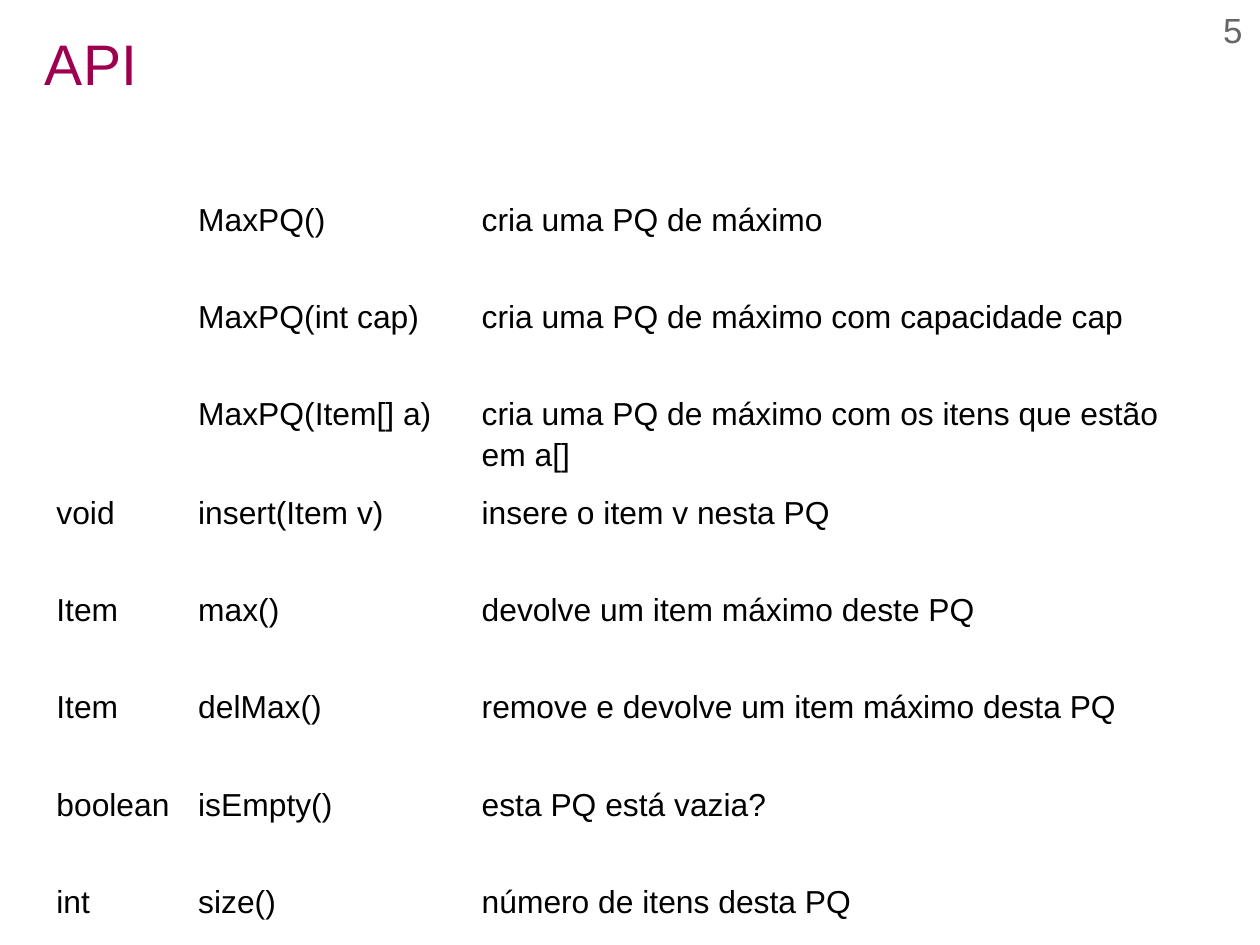
from dataclasses import dataclass

import pptx
import pptx.dml.color
import pptx.enum.text
import pptx.oxml.ns
import pptx.util
from lxml import etree
from pptx.util import Cm

FONT = "Arial"
WHITE = "FFFFFF"
BLACK = "000000"
ALIGN = pptx.enum.text.PP_ALIGN
ANCHOR = pptx.enum.text.MSO_ANCHOR


@dataclass
class Label:
    text: str
    left: float
    top: float
    width: float
    height: float
    size: int
    color: str
    align: ALIGN = ALIGN.LEFT
    anchor: ANCHOR = ANCHOR.TOP
    line_spacing: float = 1.0


@dataclass
class Method:
    returns: str
    signature: str
    description: str


LABELS = [
    Label("API", 1, 0.5, 26, 2, 36, "9E004F",
          anchor=ANCHOR.MIDDLE, line_spacing=0.9),
    Label("5", 20.68, 0.2, 6.93, 1.17, 22, "666666", align=ALIGN.RIGHT),
]

METHODS = [
    Method("", "MaxPQ()", "cria uma PQ de máximo"),
    Method("", "MaxPQ(int cap)", "cria uma PQ de máximo com capacidade cap"),
    Method("", "MaxPQ(Item[] a)",
           "cria uma PQ de máximo com os itens que estão em a[]"),
    Method("void", "insert(Item v)", "insere o item v nesta PQ"),
    Method("Item", "max()", "devolve um item máximo deste PQ"),
    Method("Item", "delMax()", "remove e devolve um item máximo desta PQ"),
    Method("boolean", "isEmpty()", "esta PQ está vazia?"),
    Method("int", "size()", "número de itens desta PQ"),
]

COLUMN_WIDTHS = [3.15, 6.3, 16.55]
ROW_HEIGHT = 2.16
LAST_ROW_HEIGHT = 1.22


def rgb(color: str) -> pptx.dml.color.RGBColor:
    return pptx.dml.color.RGBColor.from_string(color)


def style_paragraph(para, size: int, color: str, line_spacing: float) -> None:
    para.line_spacing = line_spacing
    para.font.name = FONT
    para.font.size = pptx.util.Pt(size)
    para.font.color.rgb = rgb(color)


def add_label(page, label: Label) -> None:
    box = page.shapes.add_textbox(Cm(label.left), Cm(label.top),
                                  Cm(label.width), Cm(label.height))
    frame = box.text_frame
    frame.word_wrap = True
    frame.vertical_anchor = label.anchor
    frame.margin_left = frame.margin_right = 0
    frame.margin_top = frame.margin_bottom = 0
    para = frame.paragraphs[0]
    para.text = label.text
    para.alignment = label.align
    style_paragraph(para, label.size, label.color, label.line_spacing)


def add_borders(cell, color: str, width: float) -> None:
    qn = pptx.oxml.ns.qn
    properties = cell._tc.get_or_add_tcPr()
    for side in ("lnL", "lnR", "lnT", "lnB"):
        line = etree.SubElement(properties, qn(f"a:{side}"),
                                w=str(pptx.util.Pt(width)))
        fill = etree.SubElement(line, qn("a:solidFill"))
        etree.SubElement(fill, qn("a:srgbClr"), val=color)


def fill_cell(cell, text: str) -> None:
    add_borders(cell, WHITE, 0.06)
    cell.fill.solid()
    cell.fill.fore_color.rgb = rgb(WHITE)
    if text:
        cell.text = text
        style_paragraph(cell.text_frame.paragraphs[0], 20, BLACK, 1.15)


def add_method_table(page, methods: list[Method]) -> None:
    heights = [ROW_HEIGHT] * (len(methods) - 1) + [LAST_ROW_HEIGHT]
    table = page.shapes.add_table(
        len(methods), len(COLUMN_WIDTHS), Cm(1), Cm(4.25),
        Cm(sum(COLUMN_WIDTHS)), Cm(sum(heights))).table
    table.first_row = False
    table.horz_banding = False
    for column, width in zip(table.columns, COLUMN_WIDTHS):
        column.width = Cm(width)
    for row, height, method in zip(table.rows, heights, methods):
        row.height = Cm(height)
        texts = (method.returns, method.signature, method.description)
        for cell, text in zip(row.cells, texts):
            fill_cell(cell, text)


def main() -> None:
    deck = pptx.Presentation()
    deck.slide_width, deck.slide_height = Cm(28), Cm(21)
    page = deck.slides.add_slide(deck.slide_layouts[6])

    # Title and page number
    for label in LABELS:
        add_label(page, label)

    # Methods of the priority queue
    add_method_table(page, METHODS)

    deck.save("out.pptx")


if __name__ == "__main__":
    main()
